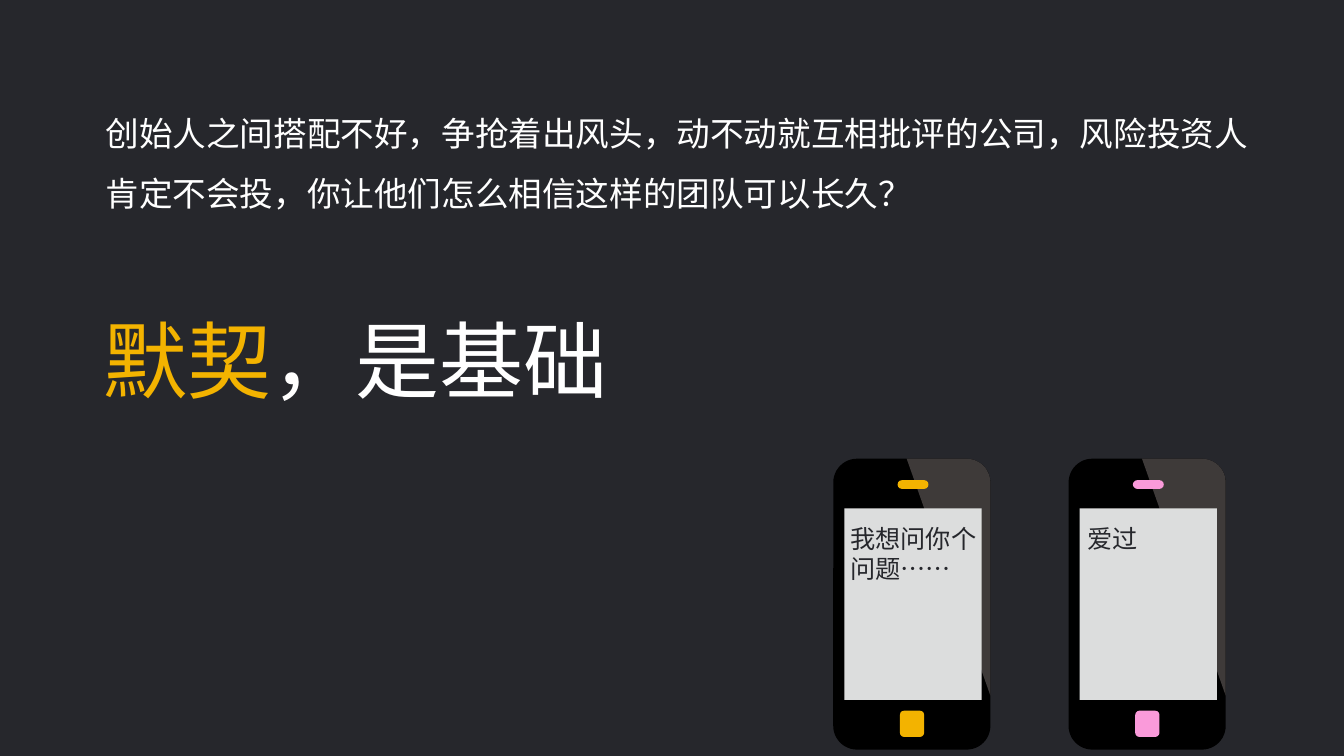
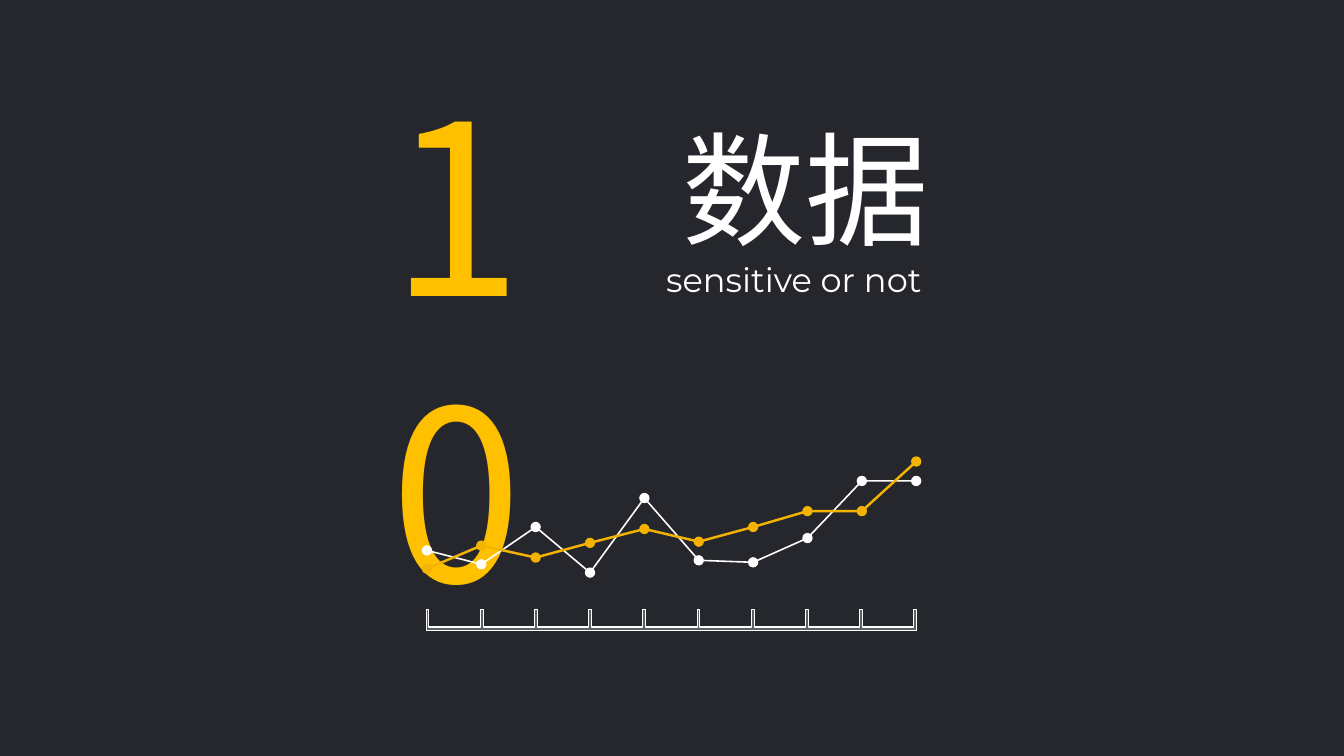
"""Build two dark slides: a pair of phones, and a section title with a trend sketch."""
from math import cos, pi, sin

from lxml.etree import SubElement
from pptx import Presentation
from pptx.dml.color import RGBColor
from pptx.enum.shapes import MSO_SHAPE
from pptx.oxml.ns import qn
from pptx.util import Cm, Pt

COLORS = {
    "dark": "26272C", "white": "FFFFFF", "gold": "F3B300", "amber": "FFC000",
    "pink": "FA9ADA", "black": "000000", "gloss": "3E3A39", "screen": "DCDDDD",
    "slate": "576168",
}
HAN = "Noto Sans CJK SC"
FORMS = {
    "body": {"name": HAN, "size": Pt(24)},
    "title": {"name": HAN, "size": Pt(60)},
    "chat": {"name": HAN, "size": Pt(18)},
    "number": {"name": HAN, "size": Pt(170)},
    "topic": {"name": HAN, "size": Pt(88)},
    "sub": {"name": "Montserrat", "size": Pt(24)},
}
PHONE_TOP, PHONE_WIDE, PHONE_HIGH, CORNER = 11.56, 3.96, 7.33, 0.6
START, STEP, DOT = 10.76, 1.37, 0.26
GOLD_YS = [14.33, 13.75, 14.05, 13.68, 13.33, 13.65, 13.28, 12.88, 12.88, 11.63]
WHITE_YS = [13.87, 14.22, 13.28, 14.43, 12.55, 14.12, 14.17, 13.56, 12.12, 12.12]


def color(name):
    return RGBColor.from_string(COLORS[name])


def paint(shape, fill=None, line=None, width=0.75):
    shape.shadow.inherit = False
    if fill:
        shape.fill.solid()
        shape.fill.fore_color.rgb = color(fill)
    else:
        shape.fill.background()
    if line:
        shape.line.color.rgb = color(line)
        shape.line.width = Pt(width)
    else:
        shape.line.fill.background()


def add_text(shapes, box, form, lines, space=None):
    frame = shapes.add_textbox(*map(Cm, box)).text_frame
    frame.word_wrap = True
    for i, runs in enumerate(lines):
        para = frame.add_paragraph() if i else frame.paragraphs[0]
        if space:
            para.line_spacing = space
        for text, tint in runs:
            run = para.add_run()
            run.text = text
            for key, value in FORMS[form].items():
                setattr(run.font, key, value)
            run.font.color.rgb = color(tint)
            SubElement(run.font._element, qn("a:ea"), typeface=FORMS[form]["name"])


def add_block(shapes, kind, box, fill, bend=None):
    shape = shapes.add_shape(kind, *map(Cm, box))
    if bend is not None:
        shape.adjustments[0] = bend
    paint(shape, fill)


def add_outline(shapes, points, close=True, **style):
    spots = [(Cm(x), Cm(y)) for x, y in points]
    maker = shapes.build_freeform(*spots[0])
    maker.add_line_segments(spots[1:], close=close)
    paint(maker.convert_to_shape(), **style)


def add_phone(slide, left, tint):
    shapes = slide.shapes.add_group_shape().shapes
    top, right = PHONE_TOP, left + PHONE_WIDE
    round_box = MSO_SHAPE.ROUNDED_RECTANGLE
    add_block(shapes, round_box, (left, top, PHONE_WIDE, PHONE_HIGH), "black",
              CORNER / PHONE_WIDE)
    turns = [pi / 2 * i / 12 for i in range(13)]
    curve = [(right - CORNER + CORNER * sin(t), top + CORNER - CORNER * cos(t))
             for t in turns]
    add_outline(shapes, [(left + 1.85, top), *curve, (right, top + 5.97)], fill="gloss")
    add_block(shapes, round_box, (left + 1.62, top + 0.54, 0.78, 0.22), tint, 0.5)
    add_block(shapes, MSO_SHAPE.RECTANGLE, (left + 0.28, top + 1.25, 3.46, 4.83), "screen")
    add_block(shapes, round_box, (left + 1.68, top + 6.35, 0.61, 0.66), tint, 0.17)


def add_ruler(shapes):
    first, last, tooth = 10.74, 23.03, 0.07
    top, inner, base = 15.37, 15.8, 15.88
    points = [(first, base)]
    for i in range(10):
        x = first + (last - first) / 9 * i
        points += [(x, inner), (x, top), (x + tooth, top), (x + tooth, inner)]
    points.append((last + tooth, base))
    add_outline(shapes, points, fill="slate", line="white")


def add_trend(slide):
    shapes = slide.shapes.add_group_shape().shapes
    add_ruler(shapes)
    trends = {
        tint: [(START + STEP * i, y) for i, y in enumerate(ys)]
        for tint, ys in (("gold", GOLD_YS), ("white", WHITE_YS))
    }
    for tint, points in trends.items():
        for x, y in points:
            add_block(shapes, MSO_SHAPE.OVAL, (x - DOT / 2, y - DOT / 2, DOT, DOT), tint)
    for tint, width in (("white", 1.13), ("gold", 1.75)):
        add_outline(shapes, trends[tint], close=False, line=tint, width=width)


def make_phones(slide):
    add_text(slide.shapes, (2.41, 2.21, 29.6, 3.33), "body", [
        [("创始人之间搭配不好，争抢着出风头，动不动就互相批评的公司，风险投资人", "white")],
        [("肯定不会投，你让他们怎么相信这样的团队可以长久？", "white")],
    ], space=1.5)
    add_text(slide.shapes, (2.36, 7.65, 13.4, 2.82), "title",
             [[("默契", "gold"), ("，是基础", "white")]])
    add_phone(slide, 21, "gold")
    add_phone(slide, 26.93, "pink")
    add_text(slide.shapes, (21.18, 13.06, 3.8, 1.8), "chat",
             [[("我想问你个", "dark")], [("问题……", "dark")]])
    add_text(slide.shapes, (27.15, 13.06, 1.9, 1.02), "chat", [[("爱过", "dark")]])


def make_data(slide):
    add_text(slide.shapes, (9.58, 1.35, 6.58, 7.52), "number", [[("10", "amber")]])
    add_text(slide.shapes, (16.94, 2.74, 6.9, 4.01), "topic", [[("数据", "white")]])
    add_text(slide.shapes, (16.54, 6.4, 7.75, 1.27), "sub", [[("sensitive or not", "white")]])
    add_trend(slide)


def main():
    deck = Presentation()
    deck.slide_width, deck.slide_height = Cm(33.87), Cm(19.05)
    back = deck.slide_master.background.fill
    back.solid()
    back.fore_color.rgb = color("dark")
    for make in (make_phones, make_data):
        make(deck.slides.add_slide(deck.slide_layouts[6]))
    deck.save("out.pptx")


if __name__ == "__main__":
    main()
